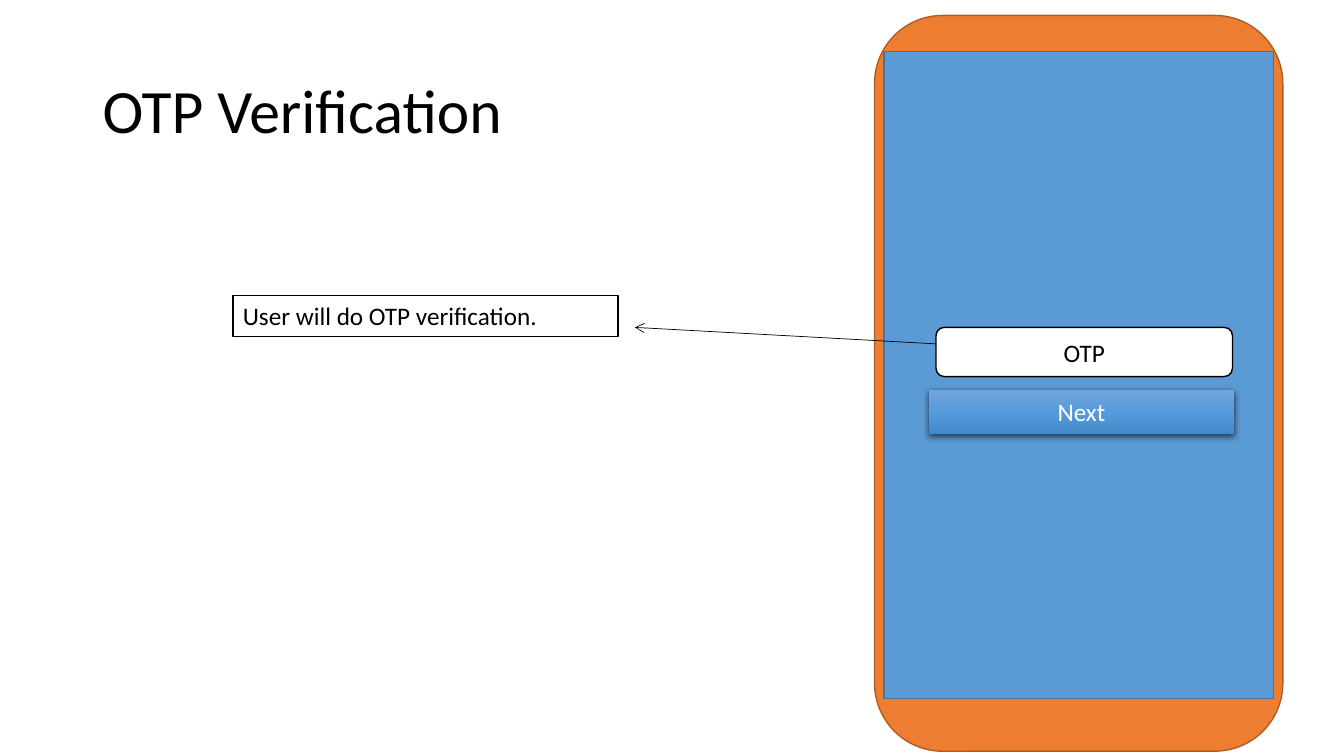
from copy import deepcopy

from lxml.etree import SubElement
from pptx import Presentation
from pptx.dml.color import RGBColor
from pptx.enum.shapes import MSO_CONNECTOR, MSO_SHAPE
from pptx.enum.text import MSO_ANCHOR, PP_ALIGN
from pptx.oxml.ns import qn
from pptx.util import Cm, Pt


def color(code):
    return RGBColor.from_string(code)


def label(shape, text, size, ink, align, anchor=MSO_ANCHOR.MIDDLE):
    """Write one line of text into a shape."""
    frame = shape.text_frame
    frame.text = text
    frame.word_wrap = True
    frame.vertical_anchor = anchor
    par = frame.paragraphs[0]
    par.alignment = align
    font = par.runs[0].font
    font.name = "Calibri"
    font.size = Pt(size)
    font.color.rgb = color(ink)


deck = Presentation()
deck.slide_width = Cm(33.87)
deck.slide_height = Cm(19.05)
slide = deck.slides.add_slide(deck.slide_layouts[5])
shapes = slide.shapes

title = shapes.title
title.left, title.top = Cm(2.33), Cm(1.01)
title.width, title.height = Cm(29.21), Cm(3.68)
label(title, "OTP Verification", 44, "000000", PP_ALIGN.LEFT)
title.text_frame.paragraphs[0].line_spacing = 0.9

# Phone, screen, caption, field and button, from back to front
RECT, ROUND = MSO_SHAPE.RECTANGLE, MSO_SHAPE.ROUNDED_RECTANGLE
parts = [
    (ROUND, 22.04, 0.39, 10.29, 18.54, "ED7D31", "AF5C24", ""),
    (RECT, 22.28, 1.3, 9.82, 16.31, "5B9BD5", "43739E", ""),
    (RECT, 5.87, 7.45, 9.71, 1.03, "FFFFFF", "000000",
     "User will do OTP verification."),
    (ROUND, 23.59, 8.25, 7.47, 1.24, "FFFFFF", "000000", "OTP"),
    (RECT, 23.41, 9.83, 7.69, 1.1, None, None, "Next"),
]
for kind, left, top, width, height, fill, edge, text in parts:
    if text == "OTP":
        # The arrow lies over the screen but under the field
        arrow = shapes.add_connector(
            MSO_CONNECTOR.STRAIGHT, Cm(24.41), Cm(8.71), Cm(16), Cm(8.25))
        arrow.line.color.rgb = color("000000")
        arrow.line.width = Pt(0.5)
        SubElement(arrow.line._get_or_add_ln(), qn("a:tailEnd"), type="arrow")
        SubElement(arrow._element.spPr, qn("a:effectLst"))
    shape = shapes.add_shape(kind, Cm(left), Cm(top), Cm(width), Cm(height))
    shape.shadow.inherit = False
    if fill:
        shape.fill.solid()
        shape.fill.fore_color.rgb = color(fill)
        shape.line.color.rgb = color(edge)
        shape.line.width = Pt(1)
    if text.startswith("User"):
        label(shape, text, 18, "000000", PP_ALIGN.LEFT, MSO_ANCHOR.TOP)
    elif text:
        ink = "000000" if fill else "FFFFFF"
        label(shape, text, 18, ink, PP_ALIGN.CENTER)

# The button, last in the list, has a gradient and a shadow
button = shape
button.line.fill.background()
button.fill.gradient()
button.fill.gradient_angle = 270
props = button._element.spPr
stops = props.find(qn("a:gradFill")).find(qn("a:gsLst"))
stops.append(deepcopy(stops[0]))
shades = [(0, "71A6DB"), (0.5, "559BDB"), (1, "448ACA")]
for stop, (place, shade) in zip(button.fill.gradient_stops, shades):
    stop.position = place
    stop.color.rgb = color(shade)

cast = SubElement(props.find(qn("a:effectLst")), qn("a:outerShdw"),
                  blurRad=str(Pt(4.5)), dist=str(Pt(1.5)), dir="5400000",
                  algn="ctr", rotWithShape="0")
black = SubElement(cast, qn("a:srgbClr"), val="000000")
SubElement(black, qn("a:alpha"), val="63000")

deck.save("out.pptx")
